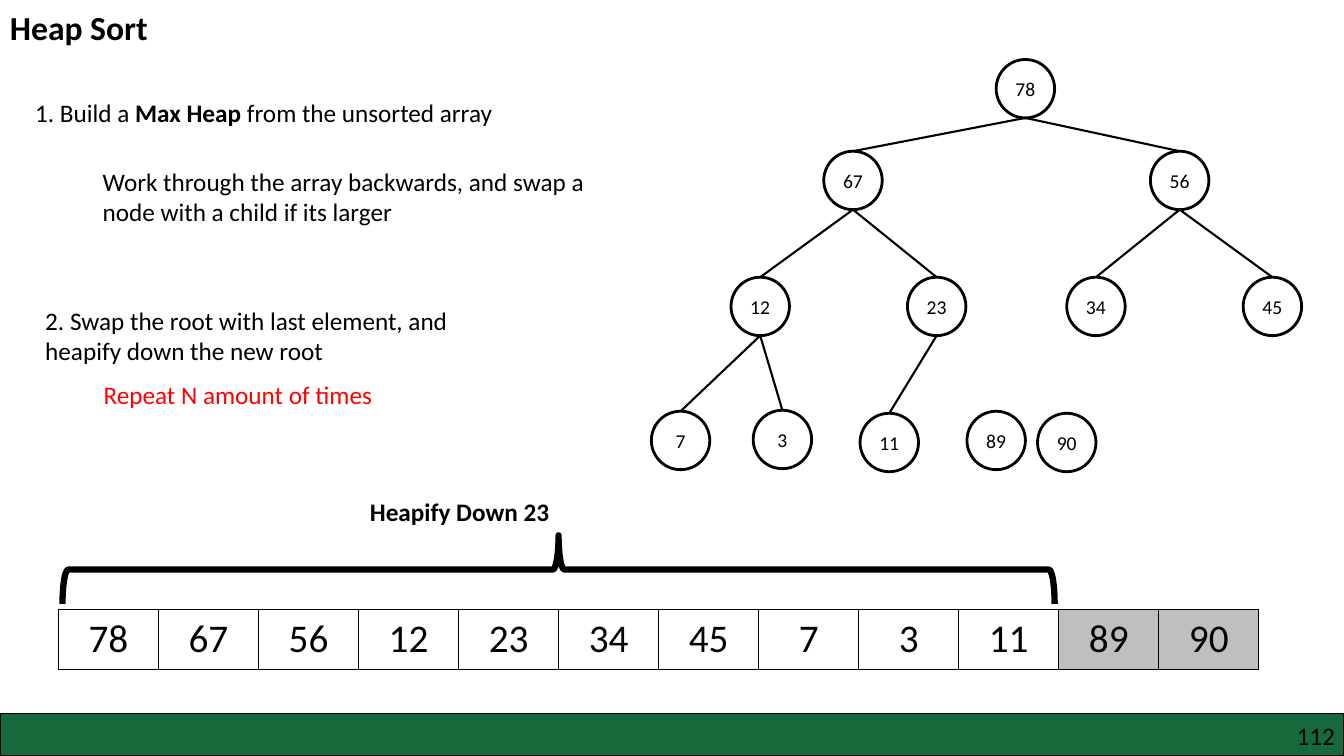
from lxml import etree
from pptx import Presentation
from pptx.dml.color import RGBColor
from pptx.enum.shapes import MSO_CONNECTOR, MSO_SHAPE
from pptx.enum.text import MSO_ANCHOR, MSO_AUTO_SIZE, PP_ALIGN
from pptx.oxml import parse_xml
from pptx.oxml.ns import nsdecls, qn
from pptx.util import Pt

PX = 9144  # EMU per px, 100 px to the inch
BLACK = RGBColor(0x00, 0x00, 0x00)
WHITE = RGBColor(0xFF, 0xFF, 0xFF)
GREEN = RGBColor(0x15, 0x69, 0x3B)
GREY = RGBColor(0xBF, 0xBF, 0xBF)
RED = RGBColor(0xFF, 0x00, 0x00)
NODE = 58

prs = Presentation()
prs.slide_width, prs.slide_height = 1333 * PX, 750 * PX
s = prs.slides.add_slide(prs.slide_layouts[6])


def add_text(x, y, w, h, text, size=18, color=BLACK, wrap=False):
    """Add a text box; parts between ** marks are bold."""
    sp = s.shapes.add_textbox(x * PX, y * PX, w * PX, h * PX)
    tf = sp.text_frame
    tf.word_wrap = wrap
    tf.auto_size = MSO_AUTO_SIZE.SHAPE_TO_FIT_TEXT
    for i, part in enumerate(text.split("**")):
        if part:
            r = tf.paragraphs[0].add_run()
            r.text = part
            r.font.name, r.font.size = "Calibri", Pt(size)
            r.font.bold = i % 2 == 1
            r.font.color.rgb = color
    return tf


def add_outlined(kind, x, y, w, h, width, fill=None):
    sp = s.shapes.add_shape(kind, x * PX, y * PX, w * PX, h * PX)
    sp.shadow.inherit = False
    if fill is None:
        sp.fill.background()
    else:
        sp.fill.solid()
        sp.fill.fore_color.rgb = fill
    sp.line.color.rgb = BLACK
    sp.line.width = Pt(width)
    return sp


# Footer
add_outlined(MSO_SHAPE.RECTANGLE, 0, 708, 1333, 42, 1, GREEN)
tf = add_text(1017, 715, 307, 30, "112", wrap=True)
tf.margin_left = tf.margin_right = tf.margin_top = tf.margin_bottom = 0
tf.paragraphs[0].alignment = PP_ALIGN.RIGHT

# Title and steps
add_text(0, 2, 179, 50, "**Heap Sort**", size=24)
add_text(25, 92, 517, 40, "1. Build a **Max Heap **from the unsorted array")
add_text(92, 160, 529, 71,
         "Work through the array backwards, and swap a node with a child if its larger",
         wrap=True)
add_text(35, 298, 482, 71,
         "2. Swap the root with last element, and heapify down the new root", wrap=True)
add_text(93, 371, 313, 40, "Repeat N amount of times", color=RED)

# Heap in array order: value, left, top
heap = [
    (78, 988, 59),
    (67, 817, 150), (56, 1141, 150),
    (12, 725, 275), (23, 900, 275), (34, 1058, 275), (45, 1233, 275),
    (7, 646, 408), (3, 747, 407), (11, 853, 410), (89, 959, 408), (90, 1029, 410),
]
heap_size = 10  # the remaining nodes are already sorted

for value, x, y in heap:
    sp = add_outlined(MSO_SHAPE.OVAL, x, y, NODE, NODE, 2, WHITE)
    tf = sp.text_frame
    tf.text = str(value)
    tf.word_wrap = False
    tf.vertical_anchor = MSO_ANCHOR.MIDDLE
    p = tf.paragraphs[0]
    p.alignment = PP_ALIGN.CENTER
    font = p.runs[0].font
    font.name, font.size = "Calibri", Pt(14)
    font.color.rgb = BLACK

for child in range(1, heap_size):
    _, px, py = heap[(child - 1) // 2]
    _, cx, cy = heap[child]
    edge = s.shapes.add_connector(
        MSO_CONNECTOR.STRAIGHT, (px + NODE // 2) * PX, (py + NODE) * PX,
        (cx + NODE // 2) * PX, cy * PX)
    edge.line.color.rgb = BLACK
    edge.line.width = Pt(1.5)
    etree.SubElement(edge._element.spPr, qn("a:effectLst"))

# Array
frame = s.shapes.add_table(1, len(heap), 58 * PX, 605 * PX, 1191 * PX, 59 * PX)
table = frame.table
table.first_row = table.horz_banding = False
for i, (value, _, _) in enumerate(heap):
    cell = table.cell(0, i)
    cell.text = str(value)
    cell.fill.solid()
    cell.fill.fore_color.rgb = WHITE if i < heap_size else GREY
    p = cell.text_frame.paragraphs[0]
    p.alignment = PP_ALIGN.CENTER
    font = p.runs[0].font
    font.name, font.size, font.bold = "Calibri", Pt(28), False
    font.color.rgb = BLACK
    tcPr = cell._tc.get_or_add_tcPr()
    for n, side in enumerate("LRTB"):
        tcPr.insert(n, parse_xml(
            f'<a:ln{side} {nsdecls("a")} w="12700"><a:solidFill>'
            f'<a:srgbClr val="{BLACK}"/></a:solidFill></a:ln{side}>'))

# Brace over the part that is still a heap
brace = add_outlined(MSO_SHAPE.RIGHT_BRACE, 520, 73, 68, 984, 4.5)
brace.rotation = 270
add_text(357, 487, 222, 40, "**Heapify Down 23**")

prs.save("out.pptx")
